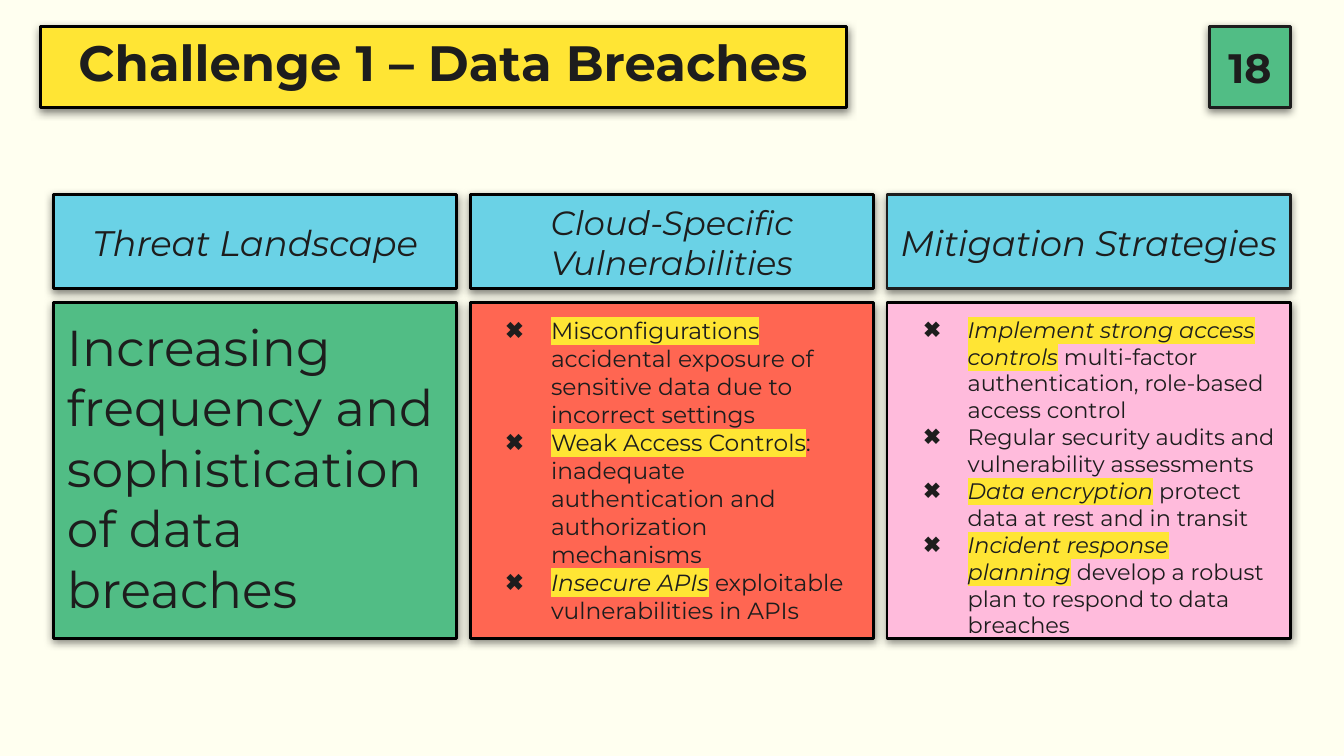
from lxml import etree
from pptx import Presentation
from pptx.dml.color import RGBColor
from pptx.enum import shapes, text
from pptx.oxml import ns
from pptx.util import Inches, Pt

INK = RGBColor(0x1D, 0x1D, 0x1D)
BLACK = RGBColor(0, 0, 0)
CREAM = RGBColor(0xFF, 0xFF, 0xF0)
YELLOW = RGBColor(0xFF, 0xE5, 0x34)
GREEN = RGBColor(0x51, 0xBD, 0x85)
BLUE = RGBColor(0x6A, 0xD2, 0xE6)
RED = RGBColor(0xFF, 0x66, 0x52)
PINK = RGBColor(0xFF, 0xBB, 0xDC)

COLUMN_X = [0.4 + 3.1 * i for i in range(3)]
HEAD_Y, HEAD_H = 1.45, 0.7
BODY_Y, BODY_H = 2.25, 2.5
COLUMN_W = 3

HEADINGS = [
    ("Threat Landscape", 19, BLACK),
    ("Cloud-Specific Vulnerabilities", 18, BLACK),
    ("Mitigation Strategies", 19, INK),
]
VULNERABILITIES = [
    ("Misconfigurations", " accidental exposure of sensitive data due to incorrect settings", False),
    ("Weak Access Controls", ": inadequate authentication and authorization mechanisms", False),
    ("Insecure APIs", " exploitable vulnerabilities in APIs", True),
]
STRATEGIES = [
    ("Implement strong access controls", " multi-factor authentication, role-based access control", True),
    ("", "Regular security audits and vulnerability assessments", False),
    ("Data encryption", " protect data at rest and in transit", True),
    ("Incident response planning", " develop a robust plan to respond to data breaches", True),
]


def add_xml(parent, tag, **attrs):
    return etree.SubElement(parent, ns.qn(tag), attrs)


class Deck:
    font = "Montserrat"

    def __init__(self, prs):
        self.s = prs.slides.add_slide(prs.slide_layouts[3])
        fill = self.s.background.fill
        fill.solid()
        fill.fore_color.rgb = CREAM

    def card(self, sp, box, fill, line=BLACK, anchor=text.MSO_ANCHOR.MIDDLE):
        sp.left, sp.top, sp.width, sp.height = [Inches(v) for v in box]
        sp.fill.solid()
        sp.fill.fore_color.rgb = fill
        sp.line.color.rgb = line
        sp.line.width = Pt(1.5)
        sp.shadow.inherit = False
        effects = sp._element.spPr.find(ns.qn("a:effectLst"))
        shadow = add_xml(effects, "a:outerShdw", blurRad=str(Pt(4.5)), dist=str(Pt(1.5)),
                         dir="5400000", algn="bl", rotWithShape="0")
        add_xml(add_xml(shadow, "a:srgbClr", val=str(BLACK)), "a:alpha", val="50000")
        tf = sp.text_frame
        tf.word_wrap = True
        tf.auto_size = text.MSO_AUTO_SIZE.NONE
        tf.vertical_anchor = anchor
        tf.margin_left = tf.margin_right = tf.margin_top = tf.margin_bottom = Inches(0.1)
        return tf

    def style(self, p, size, bold=False, italic=None, align=text.PP_ALIGN.LEFT, spacing=1.0):
        p.alignment = align
        p.line_spacing = spacing
        p.space_before = p.space_after = Pt(0)
        f = p.font
        f.name, f.size, f.bold, f.italic = self.font, Pt(size), bold, italic
        f.color.rgb = INK

    def title(self, words, box):
        tf = self.card(self.s.shapes.title, box, YELLOW)
        tf.text = words
        self.style(tf.paragraphs[0], 26.6, bold=True, align=text.PP_ALIGN.CENTER, spacing=0.8)

    def label(self, words, box, fill, size, line=BLACK, anchor=text.MSO_ANCHOR.MIDDLE, **style):
        sp = self.s.shapes.add_shape(shapes.MSO_SHAPE.RECTANGLE, 0, 0, 0, 0)
        tf = self.card(sp, box, fill, line, anchor)
        tf.text = words
        self.style(tf.paragraphs[0], size, **style)

    def bullets(self, idx, items, box, fill, size, hanging):
        tf = self.card(self.s.placeholders[idx], box, fill, anchor=text.MSO_ANCHOR.TOP)
        for i, (key, rest, italic) in enumerate(items):
            p = tf.add_paragraph() if i else tf.paragraphs[0]
            pPr = p._p.get_or_add_pPr()
            pPr.set("marL", str(Inches(0.5)))
            pPr.set("indent", str(-Inches(hanging)))
            add_xml(add_xml(pPr, "a:buClr"), "a:srgbClr", val=str(INK))
            add_xml(pPr, "a:buFont", typeface=self.font)
            add_xml(pPr, "a:buChar", char="✖")
            self.style(p, size)
            if key:
                r = p.add_run()
                r.text = key
                r.font.italic = italic
                add_xml(add_xml(r.font._element, "a:highlight"), "a:srgbClr", val=str(YELLOW))
            r = p.add_run()
            r.text = rest


def main():
    prs = Presentation()
    prs.slide_width = Inches(10)
    prs.slide_height = prs.slide_width * 9 // 16
    deck = Deck(prs)
    center = text.PP_ALIGN.CENTER
    bodies = [(x, BODY_Y, COLUMN_W, BODY_H) for x in COLUMN_X]

    deck.title("Challenge 1 – Data Breaches", (0.3, 0.2, 6, 0.6))
    deck.label("18", (9, 0.2, 0.6, 0.6), GREEN, 22, INK, bold=True, align=center)
    for x, (words, size, line) in zip(COLUMN_X, HEADINGS):
        deck.label(words, (x, HEAD_Y, COLUMN_W, HEAD_H), BLUE, size, line, italic=True, align=center)
    deck.label("Increasing frequency and sophistication of data breaches",
               bodies[0], GREEN, 27, anchor=text.MSO_ANCHOR.TOP)
    deck.bullets(1, VULNERABILITIES, bodies[1], RED, 12.5, 0.34)
    deck.bullets(2, STRATEGIES, bodies[2], PINK, 12, 0.33)
    prs.save("out.pptx")


if __name__ == "__main__":
    main()
